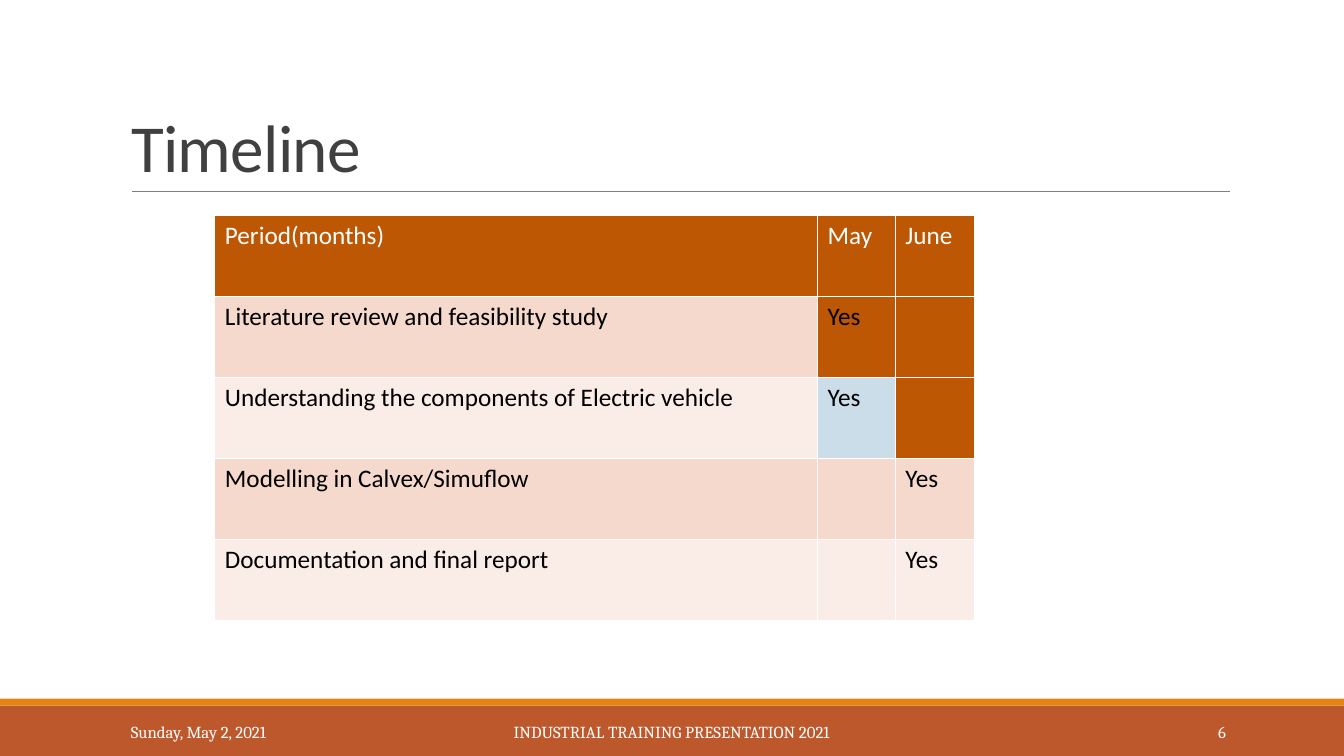
from pptx import Presentation
from pptx.dml.color import RGBColor
from pptx.enum.shapes import MSO_CONNECTOR, MSO_SHAPE
from pptx.enum.text import MSO_ANCHOR, MSO_AUTO_SIZE, PP_ALIGN
from pptx.oxml import parse_xml
from pptx.oxml.ns import nsdecls
from pptx.oxml.xmlchemy import OxmlElement
from pptx.util import Pt

WHITE = RGBColor(0xFF, 0xFF, 0xFF)
BLACK = RGBColor(0x00, 0x00, 0x00)
TITLE_GREY = RGBColor(0x40, 0x40, 0x40)
RULE_GREY = RGBColor(0x80, 0x80, 0x80)
BRICK = RGBColor(0xBD, 0x58, 0x2C)
ORANGE = RGBColor(0xE4, 0x83, 0x12)
RUST = RGBColor(0xBD, 0x57, 0x03)
PEACH = RGBColor(0xF5, 0xD9, 0xCC)
PALE_PEACH = RGBColor(0xFA, 0xED, 0xE7)
PALE_BLUE = RGBColor(0xCC, 0xDD, 0xEA)

PAGE_WIDTH, PAGE_HEIGHT = 960, 540
COLUMN_WIDTHS = (430.5, 55.5, 57)
SCHEDULE = (
    ("Period(months)", "May", "June"),
    ("Literature review and feasibility study", "Yes", ""),
    ("Understanding the components of Electric vehicle", "Yes", ""),
    ("Modelling in Calvex/Simuflow", "", "Yes"),
    ("Documentation and final report", "", "Yes"),
)
# Cells that depart from the row banding, by (row, column)
MARKED_CELLS = {(1, 1): RUST, (1, 2): RUST, (2, 1): PALE_BLUE, (2, 2): RUST}


def style_span(span, font_name, size, color):
    span.font.name = font_name
    span.font.size = Pt(size)
    span.font.color.rgb = color


def add_title(page, left, top, width, height):
    title = page.shapes.title
    title.left, title.top, title.width, title.height = map(Pt, (left, top, width, height))
    frame = title.text_frame
    frame.text = "Timeline"
    frame.auto_size = MSO_AUTO_SIZE.NONE
    frame.vertical_anchor = MSO_ANCHOR.BOTTOM
    para = frame.paragraphs[0]
    para.alignment = PP_ALIGN.LEFT
    para.line_spacing = 0.85
    span = para.runs[0]
    style_span(span, "Calibri", 48, TITLE_GREY)
    span._r.get_or_add_rPr().set("spc", "-50")

    # Rule along the bottom of the title
    bottom = Pt(top + height)
    rule = page.shapes.add_connector(
        MSO_CONNECTOR.STRAIGHT, Pt(left + 8), bottom, Pt(left + width + 0.5), bottom)
    rule.line.color.rgb = RULE_GREY
    rule.line.width = Pt(0.5)
    rule._element.spPr.append(OxmlElement("a:effectLst"))


def add_band(page, left, top, width, height, color):
    band = page.shapes.add_shape(
        MSO_SHAPE.RECTANGLE, Pt(left), Pt(top), Pt(width), Pt(height))
    band.shadow.inherit = False
    band.fill.solid()
    band.fill.fore_color.rgb = color
    band.line.fill.background()


def add_footer(page, left, top, width, height):
    stripe = 5
    add_band(page, left, top + stripe, width, height - stripe, BRICK)
    add_band(page, left, top, width, stripe, ORANGE)

    # Date, event and page number
    entries = (
        ("Sunday, May 2, 2021", 86.4, 194.4, PP_ALIGN.LEFT),
        ("INDUSTRIAL TRAINING PRESENTATION 2021", 290.2, 379.4, PP_ALIGN.CENTER),
        ("6", 779.8, 103, PP_ALIGN.RIGHT),
    )
    for text, offset, entry_width, alignment in entries:
        box = page.shapes.add_textbox(
            Pt(left + offset), Pt(top + 9.3), Pt(entry_width), Pt(28.8))
        frame = box.text_frame
        frame.word_wrap = True
        frame.vertical_anchor = MSO_ANCHOR.MIDDLE
        frame.text = text
        para = frame.paragraphs[0]
        para.alignment = alignment
        style_span(para.runs[0], "Cambria", 12, WHITE)


def add_cell_borders(cell):
    properties = cell._tc.get_or_add_tcPr()
    for position, side in enumerate(("lnL", "lnR", "lnT", "lnB")):
        border = parse_xml(
            f'<a:{side} {nsdecls("a")} w="{Pt(1)}"><a:solidFill>'
            f'<a:srgbClr val="{WHITE}"/></a:solidFill></a:{side}>')
        properties.insert(position, border)


def add_schedule(page, left, top, width, height):
    frame = page.shapes.add_table(
        len(SCHEDULE), len(COLUMN_WIDTHS), Pt(left), Pt(top), Pt(width), Pt(height))
    table = frame.table
    for column, column_width in zip(table.columns, COLUMN_WIDTHS):
        column.width = Pt(column_width)
    for row_index, texts in enumerate(SCHEDULE):
        table.rows[row_index].height = Pt(height / len(SCHEDULE))
        is_header = row_index == 0
        band_color = RUST if is_header else (PALE_PEACH, PEACH)[row_index % 2]
        for column_index, text in enumerate(texts):
            cell = table.cell(row_index, column_index)
            cell.fill.solid()
            cell.fill.fore_color.rgb = MARKED_CELLS.get((row_index, column_index), band_color)
            add_cell_borders(cell)
            if text:
                cell.text_frame.text = text
                span = cell.text_frame.paragraphs[0].runs[0]
                style_span(span, "Calibri", 18, WHITE if is_header else BLACK)
                span.font.bold = False


def main():
    deck = Presentation()
    deck.slide_width, deck.slide_height = Pt(PAGE_WIDTH), Pt(PAGE_HEIGHT)
    page = deck.slides.add_slide(deck.slide_layouts[5])
    add_footer(page, 0, 499, PAGE_WIDTH, PAGE_HEIGHT - 499)
    add_title(page, 86.4, 22.3, 792, 114.5)
    add_schedule(page, 153.5, 154, sum(COLUMN_WIDTHS), 289)
    deck.save("out.pptx")


if __name__ == "__main__":
    main()
